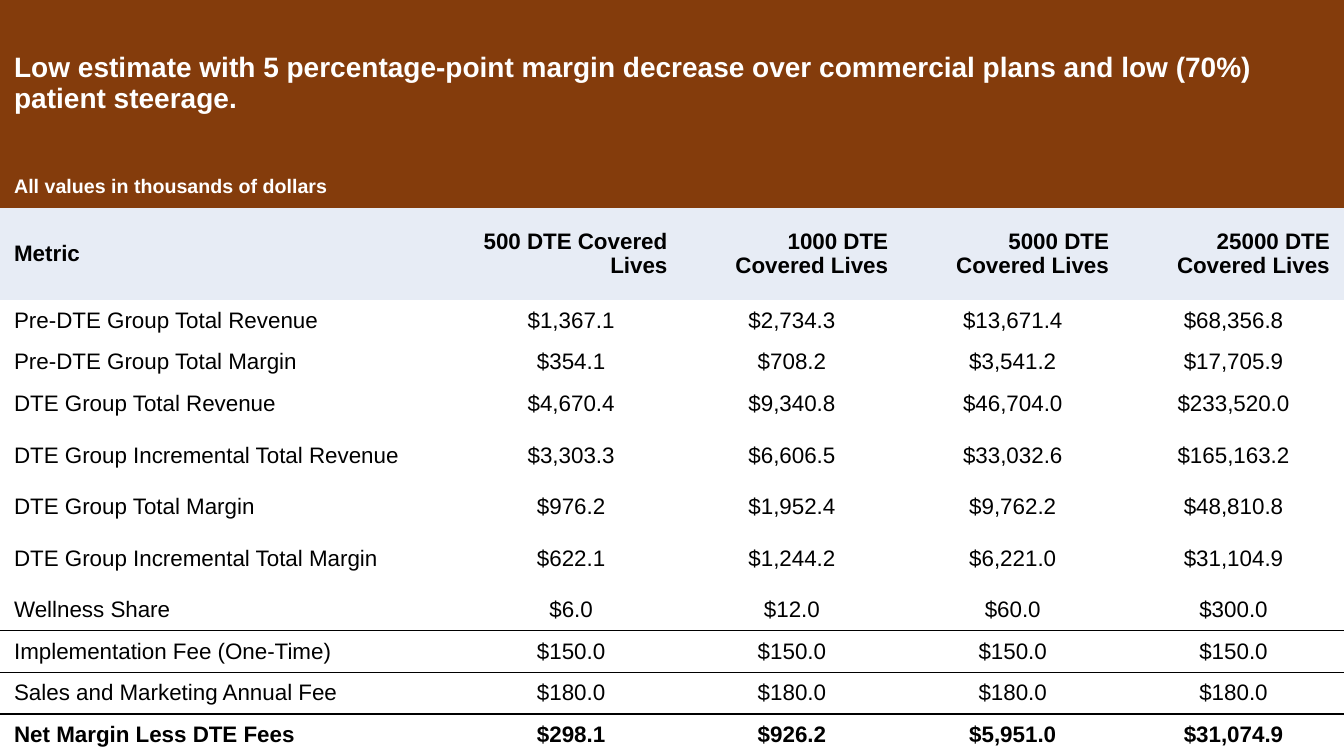
from dataclasses import dataclass

from lxml import etree
from pptx import Presentation
from pptx.dml.color import RGBColor
from pptx.enum import text
from pptx.oxml import ns
from pptx.util import Inches, Pt


@dataclass(frozen=True)
class Theme:
    font: str = "Arial"
    banner: str = "843C0C"
    header: str = "E7ECF5"
    light: str = "FFFFFF"
    dark: str = "000000"
    title_size: int = 20
    note_size: int = 14
    body_size: int = 16


theme = Theme()
PADDING = Inches(0.14)
LEFT, CENTER, RIGHT = text.PP_ALIGN.LEFT, text.PP_ALIGN.CENTER, text.PP_ALIGN.RIGHT


def write_cell(cell, words, size, color, bold, alignment, fill=None):
    cell.margin_left = cell.margin_right = cell.margin_top = cell.margin_bottom = 0
    cell.vertical_anchor = text.MSO_ANCHOR.MIDDLE
    if fill:
        cell.fill.solid()
        cell.fill.fore_color.rgb = RGBColor.from_string(fill)
    else:
        cell.fill.background()
    paragraph = cell.text_frame.paragraphs[0]
    paragraph.text = words
    paragraph.alignment = alignment
    properties = paragraph._p.get_or_add_pPr()
    for side in ("marL", "marR"):
        properties.set(side, str(PADDING))
    properties.set("indent", "0")
    font = paragraph.runs[0].font
    font.name, font.size, font.bold = theme.font, Pt(size), bold
    font.color.rgb = RGBColor.from_string(color)


def add_border(cell, tag):
    line = etree.Element(ns.qn(tag), w=str(Pt(1)))
    fill = etree.SubElement(line, ns.qn("a:solidFill"))
    etree.SubElement(fill, ns.qn("a:srgbClr"), val=theme.dark)
    cell._tc.get_or_add_tcPr().insert(0, line)


# Content
banners = [
    ("Low estimate with 5 percentage-point margin decrease over commercial plans "
     "and low (70%) patient steerage.", theme.title_size),
    ("All values in thousands of dollars", theme.note_size),
]
covered_lives = [500, 1000, 5000, 25000]
metrics = [
    ("Pre-DTE Group Total Revenue", 1367.1, 2734.3, 13671.4, 68356.8),
    ("Pre-DTE Group Total Margin", 354.1, 708.2, 3541.2, 17705.9),
    ("DTE Group Total Revenue", 4670.4, 9340.8, 46704.0, 233520.0),
    ("DTE Group Incremental Total Revenue", 3303.3, 6606.5, 33032.6, 165163.2),
    ("DTE Group Total Margin", 976.2, 1952.4, 9762.2, 48810.8),
    ("DTE Group Incremental Total Margin", 622.1, 1244.2, 6221.0, 31104.9),
    ("Wellness Share", 6.0, 12.0, 60.0, 300.0),
    ("Implementation Fee (One-Time)", 150.0, 150.0, 150.0, 150.0),
    ("Sales and Marketing Annual Fee", 180.0, 180.0, 180.0, 180.0),
    ("Net Margin Less DTE Fees", 298.1, 926.2, 5951.0, 31074.9),
]
ruled_metrics = ("Wellness Share", "Sales and Marketing Annual Fee")
header_row = len(banners)
first_metric_row = header_row + 1
row_count = first_metric_row + len(metrics)
column_count = 1 + len(covered_lives)

# Slide and table
presentation = Presentation()
presentation.slide_width, presentation.slide_height = Inches(13.33), Inches(7.5)
slide = presentation.slides.add_slide(presentation.slide_layouts[6])
frame = slide.shapes.add_table(row_count, column_count, 0, 0,
                               presentation.slide_width, presentation.slide_height)
table = frame.table
table.first_row = table.horz_banding = False
# The "No Style, No Grid" table style
table._tbl.tblPr.find(ns.qn("a:tableStyleId")).text = "{2D5ABB26-0587-4C30-8999-92F81FD0307C}"

# Column widths, and row heights with the remaining height shared equally
for index, column in enumerate(table.columns):
    column.width = Inches(2.19 if index else 4.57)
tall_rows = {0: 1.65, header_row: 0.91, 6: 0.61, 8: 0.61}
common_height = (7.5 - sum(tall_rows.values())) / (row_count - len(tall_rows))
for index, row in enumerate(table.rows):
    row.height = Inches(tall_rows.get(index, common_height))

# Banner rows across the full width
for index, (words, size) in enumerate(banners):
    table.cell(index, 0).merge(table.cell(index, column_count - 1))
    write_cell(table.cell(index, 0), words, size, theme.light, True, LEFT, theme.banner)

# Column headings
headings = ["Metric"] + [f"{lives} DTE Covered Lives" for lives in covered_lives]
for column, heading in enumerate(headings):
    write_cell(table.cell(header_row, column), heading, theme.body_size, theme.dark,
               True, RIGHT if column else LEFT, theme.header)

# Metric rows, the last one in bold
for index, (metric, *values) in enumerate(metrics, first_metric_row):
    bold = index == row_count - 1
    for column, words in enumerate([metric] + [f"${value:,.1f}" for value in values]):
        write_cell(table.cell(index, column), words, theme.body_size, theme.dark,
                   bold, CENTER if column else LEFT)
        # Rule shared with the row below
        if metric in ruled_metrics:
            add_border(table.cell(index, column), "a:lnB")
            add_border(table.cell(index + 1, column), "a:lnT")

presentation.save("out.pptx")
